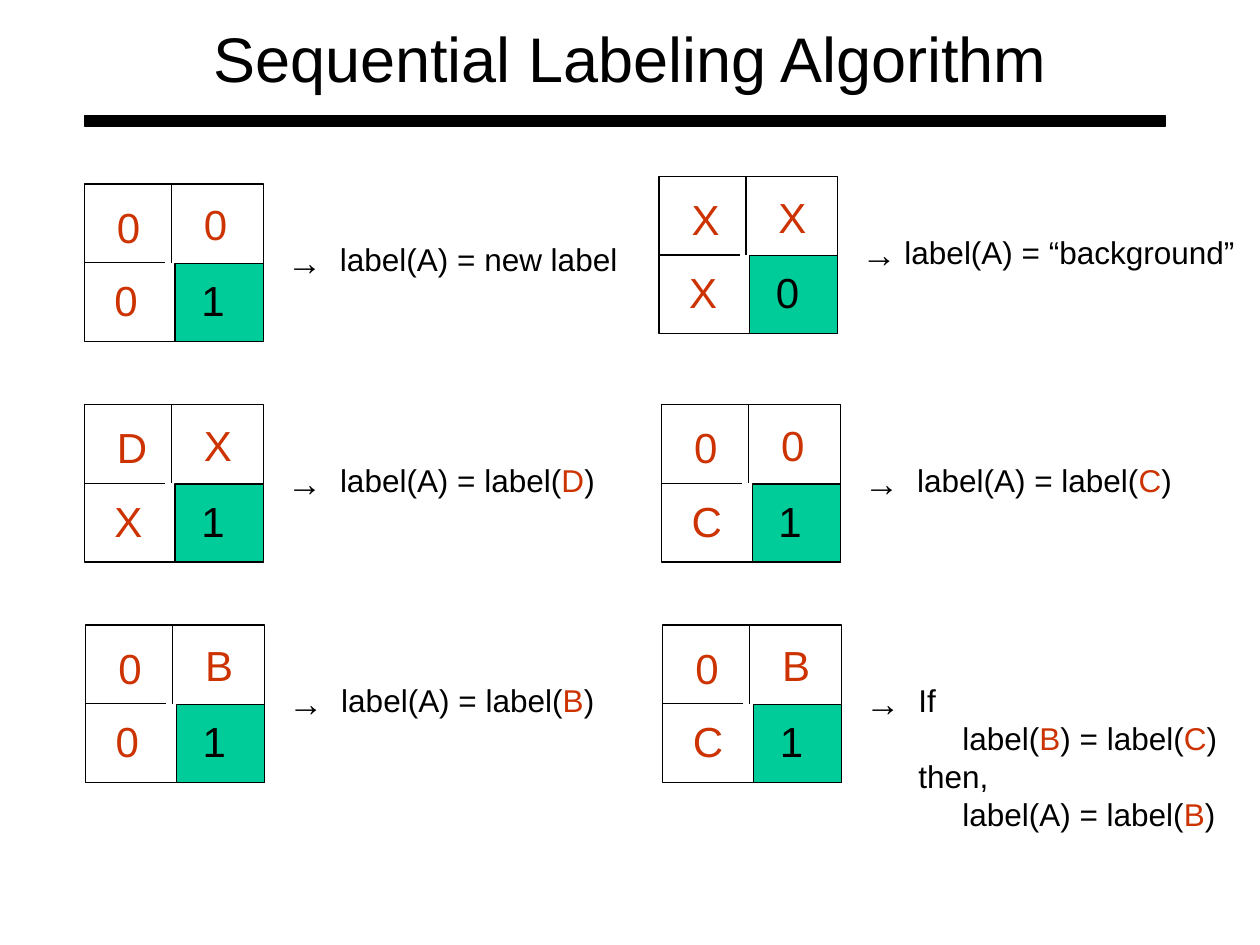
from lxml import etree
from pptx import Presentation
from pptx.dml.color import RGBColor
from pptx.enum import shapes, text
from pptx.oxml.ns import qn
from pptx.util import Inches, Pt

BLACK = RGBColor(0x00, 0x00, 0x00)
RED = RGBColor(0xCC, 0x33, 0x00)
GREEN = RGBColor(0x00, 0xCC, 0x99)
FONT = "Arial"

TITLE = "Sequential Labeling Algorithm"
# column, row, neighbours D B C, pixel A, rule lines (*red*, leading > indents), rule width, nudge
CASES = [
    (0, 0, "000", "1", ["label(A) = new label"], 2.4, (0, 0)),
    (0, 1, "DXX", "1", ["label(A) = label(*D*)"], 2.22, (0, 0)),
    (1, 0, "XXX", "0", ["label(A) = “background”"], 2.82, (-0.02, -0.06)),
    (1, 1, "00C", "1", ["label(A) = label(*C*)"], 2.22, (0, 0)),
    (0, 2, "0B0", "1", ["label(A) = label(*B*)"], 2.21, (0.01, 0)),
    (1, 2, "0BC", "1", ["If", ">label(*B*) = label(*C*)", "then,",
                        ">label(A) = label(*B*)"], 2.57, (0.01, 0)),
]
LEFT, TOP, COL_STEP, ROW_STEP = 0.67, 1.46, 4.58, 1.75
BOARD_W, BOARD_H = 1.42, 1.25
PIXEL_W, PIXEL_H = 0.7, 0.62
NEIGHBOUR_OFFSETS = [(0.16, 0.09), (0.85, 0.07), (0.14, 0.67)]
PIXEL_OFFSET = (0.83, 0.67)
GLYPH_WIDTHS = {"0": 0.38, "1": 0.38, "X": 0.42, "B": 0.42, "C": 0.44, "D": 0.44}
INDENT = 0.35


def add_run(p, words, size, color):
    """Append one formatted run to a paragraph."""
    r = p.add_run()
    r.text = words
    r.font.name, r.font.size = FONT, Pt(size)
    r.font.color.rgb = color


def add_text(slide, x, y, w, h, lines, size, color=BLACK):
    """Add an unwrapped text box, with starred words in red."""
    tf = slide.shapes.add_textbox(*map(Inches, (x, y, w, h))).text_frame
    tf.word_wrap = False
    tf.auto_size = text.MSO_AUTO_SIZE.SHAPE_TO_FIT_TEXT
    for i, line in enumerate(lines):
        p = tf.add_paragraph() if i else tf.paragraphs[0]
        if line.startswith(">"):
            p._p.get_or_add_pPr().set("marL", str(Inches(INDENT)))
        for j, part in enumerate(line.lstrip(">").split("*")):
            add_run(p, part, size, RED if j % 2 else color)


def add_box(parent, x, y, w, h, fill=None):
    """Add a thinly outlined rectangle."""
    sp = parent.shapes.add_shape(shapes.MSO_SHAPE.RECTANGLE, *map(Inches, (x, y, w, h)))
    sp.shadow.inherit = False
    if fill is None:
        sp.fill.background()
    else:
        sp.fill.solid()
        sp.fill.fore_color.rgb = fill
    sp.line.color.rgb, sp.line.width = BLACK, Pt(0.75)
    return sp


def add_line(parent, x1, y1, x2, y2):
    """Add a thin straight connector."""
    line = parent.shapes.add_connector(
        shapes.MSO_CONNECTOR.STRAIGHT, *map(Inches, (x1, y1, x2, y2)))
    line.line.color.rgb, line.line.width = BLACK, Pt(0.75)
    etree.SubElement(line._element.spPr, qn("a:effectLst"))
    return line


def add_board(slide, x, y):
    """Add the grouped two-by-two board with its shaded pixel."""
    group = slide.shapes.add_group_shape()
    middle = y + BOARD_H / 2
    board = add_box(group, x, y, BOARD_W, BOARD_H)
    add_line(group, x + 0.69, middle, x + 0.69, y)
    add_line(group, x, middle, x + 0.64, middle).begin_connect(board, 1)
    add_box(group, x + BOARD_W - PIXEL_W, y + BOARD_H - PIXEL_H, PIXEL_W, PIXEL_H, GREEN)


def add_case(slide, col, row, neighbours, pixel, rule, rule_w, nudge):
    """Add one board with its symbols, arrow and rule."""
    x = LEFT + col * COL_STEP + nudge[0]
    y = TOP + row * ROW_STEP + nudge[1]
    add_board(slide, x, y)
    symbols = [(pixel, PIXEL_OFFSET, BLACK)]
    symbols += [(s, offset, RED) for s, offset in zip(neighbours, NEIGHBOUR_OFFSETS)]
    for symbol, (dx, dy), color in symbols:
        add_text(slide, x + dx, y + dy, GLYPH_WIDTHS[symbol], 0.5, [symbol], 24, color)
    add_text(slide, x + 1.51, y + 0.4, 0.55, 0.44, ["→"], 20)
    rule_x = x + (1.85 if rule_w > 2.8 else 1.93)
    add_text(slide, rule_x, y + 0.4, rule_w, 0.1 + 0.3 * len(rule), rule, 18)


def main():
    """Build and save the slide."""
    prs = Presentation()
    prs.slide_width, prs.slide_height = Inches(10), Inches(7.5)
    slide = prs.slides.add_slide(prs.slide_layouts[5])
    title = slide.shapes.title
    title.left, title.top, title.width, title.height = map(Inches, (0.75, -0.17, 8.5, 1.25))
    tf = title.text_frame
    tf.vertical_anchor = text.MSO_ANCHOR.MIDDLE
    tf.paragraphs[0].alignment = text.PP_ALIGN.CENTER
    add_run(tf.paragraphs[0], TITLE, 36, BLACK)
    add_box(slide, LEFT, 0.92, 8.58, 0.08, BLACK)
    for case in CASES:
        add_case(slide, *case)
    prs.save("out.pptx")


if __name__ == "__main__":
    main()
